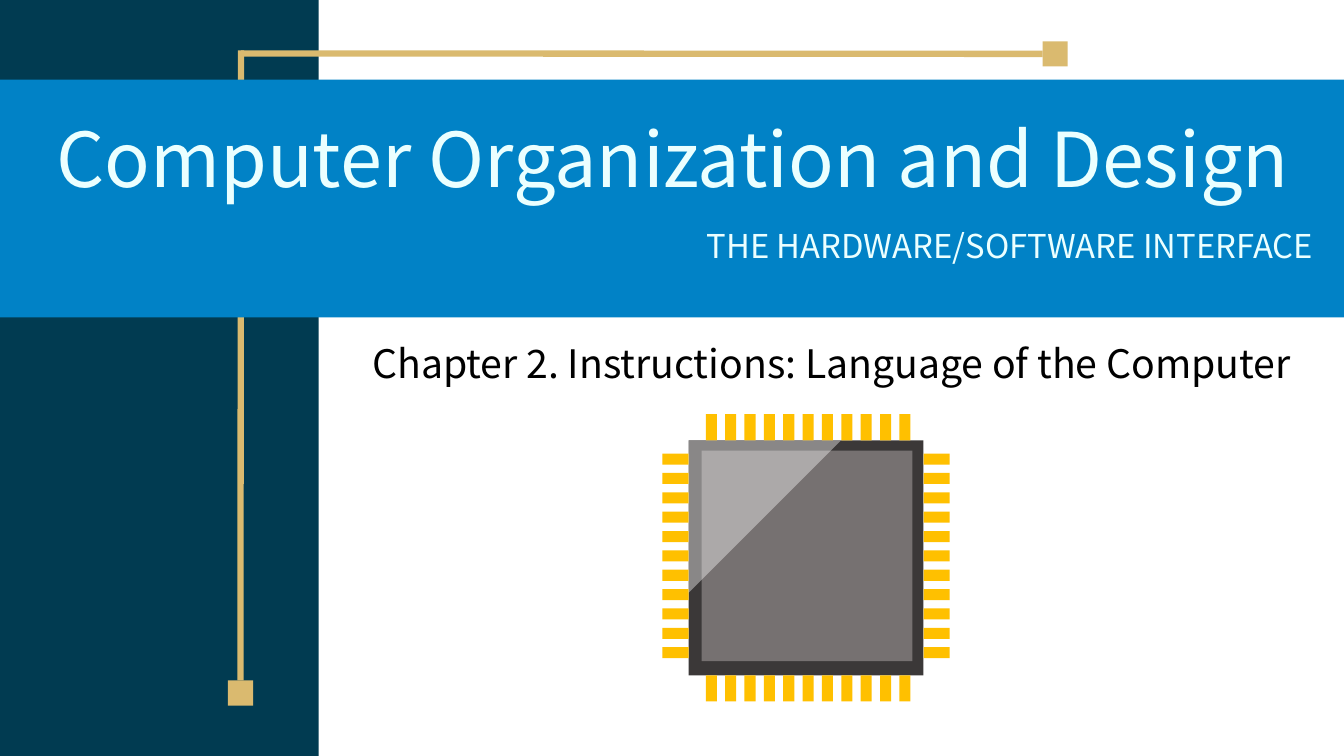
from lxml import etree
from pptx import Presentation
from pptx.dml.color import RGBColor
from pptx.enum.shapes import MSO_CONNECTOR, MSO_SHAPE
from pptx.enum.text import MSO_ANCHOR, PP_ALIGN
from pptx.oxml.ns import qn
from pptx.util import Inches, Pt

RECTANGLE = MSO_SHAPE.RECTANGLE
STRAIGHT = MSO_CONNECTOR.STRAIGHT
TOP, BOTTOM = MSO_ANCHOR.TOP, MSO_ANCHOR.BOTTOM
CENTER = PP_ALIGN.CENTER

FONT = "Noto Sans CJK KR"
NAVY = RGBColor(0x01, 0x3B, 0x51)
BLUE = RGBColor(0x01, 0x82, 0xC6)
GOLD = RGBColor(0xDA, 0xBA, 0x6F)
ICE = RGBColor(0xEB, 0xFF, 0xFF)
BLACK = RGBColor(0, 0, 0)
WHITE = RGBColor(0xFF, 0xFF, 0xFF)
CHIP_EDGE = RGBColor(0x3B, 0x38, 0x38)
CHIP_FACE = RGBColor(0x76, 0x71, 0x71)
PIN_YELLOW = RGBColor(0xFF, 0xC0, 0x00)

PIN_COUNT = 11
PIN_PITCH = 1.92 / (PIN_COUNT - 1)
PIN_WIDTH, PIN_LENGTH = 0.11, 0.26


def paint(shape, color):
    shape.shadow.inherit = False
    shape.fill.solid()
    shape.fill.fore_color.rgb = color
    shape.line.fill.background()


def add_block(shapes, left, top, width, height, color):
    block = shapes.add_shape(RECTANGLE, Inches(left), Inches(top),
                             Inches(width), Inches(height))
    paint(block, color)
    return block


def add_gold_line(shapes, start, end):
    line = shapes.add_connector(STRAIGHT, *map(Inches, start + end))
    line.line.color.rgb = GOLD
    line.line.width = Pt(4.5)
    etree.SubElement(line._element.spPr, qn("a:effectLst"))
    return line


def add_heading(shapes, left, top, width, height, text, size, color, anchor):
    box = shapes.add_textbox(Inches(left), Inches(top),
                             Inches(width), Inches(height))
    frame = box.text_frame
    frame.word_wrap = True
    frame.vertical_anchor = anchor
    heading = frame.paragraphs[0]
    heading.text = text
    heading.alignment = CENTER
    heading.line_spacing = 0.9
    heading.font.name = FONT
    heading.font.size = Pt(size)
    heading.font.color.rgb = color


def add_glare(shapes, left, top, side):
    """Translucent triangle over the chip's upper left corner."""
    builder = shapes.build_freeform(Inches(left), Inches(top))
    builder.add_line_segments([(Inches(left + side), Inches(top)),
                               (Inches(left), Inches(top + side))])
    glare = builder.convert_to_shape()
    paint(glare, WHITE)
    white = glare._element.spPr.find(qn("a:solidFill"))[0]
    etree.SubElement(white, qn("a:alpha"), val="40000")


def add_chip(slide):
    chip = slide.shapes.add_group_shape().shapes
    add_block(chip, 6.83, 4.37, 2.33, 2.33, CHIP_EDGE)
    add_block(chip, 6.96, 4.47, 2.09, 2.09, CHIP_FACE)
    # Pins on all four sides
    for i in range(PIN_COUNT):
        offset = i * PIN_PITCH
        for top in (4.11, 6.7):
            add_block(chip, 7 + offset, top, PIN_WIDTH, PIN_LENGTH, PIN_YELLOW)
        for left in (6.57, 9.16):
            add_block(chip, left, 4.5 + offset, PIN_LENGTH, PIN_WIDTH,
                      PIN_YELLOW)
    add_glare(chip, 6.83, 4.37, 1.51)


def main():
    prs = Presentation()
    prs.slide_width, prs.slide_height = Inches(13.33), Inches(7.5)
    slide = prs.slides.add_slide(prs.slide_layouts[6])
    shapes = slide.shapes

    # Side panel and gold bracket, which runs behind the title band
    add_block(shapes, 0, 0, 3.16, 7.5, NAVY)
    lower_end = add_block(shapes, 2.26, 6.75, 0.25, 0.25, GOLD)
    upper_end = add_block(shapes, 10.34, 0.41, 0.25, 0.25, GOLD)
    upright = add_gold_line(shapes, (2.39, 6.75), (2.39, 0.5))
    upright.begin_connect(lower_end, 0)
    crossbar = add_gold_line(shapes, (10.34, 0.53), (2.39, 0.53))
    crossbar.begin_connect(upper_end, 1)
    add_block(shapes, 0, 0.79, 13.33, 2.36, BLUE)

    # Headings
    add_heading(shapes, 0.1, 0.94, 13.14, 1.13,
                "Computer Organization and Design", 54, ICE, BOTTOM)
    add_heading(shapes, 6.88, 2.07, 6.27, 0.61,
                "THE HARDWARE/SOFTWARE INTERFACE", 23.4, ICE, BOTTOM)
    add_heading(shapes, 3.25, 3.37, 9.99, 0.71,
                "Chapter 2. Instructions: Language of the Computer",
                28, BLACK, TOP)

    add_chip(slide)
    prs.save("out.pptx")


if __name__ == "__main__":
    main()
